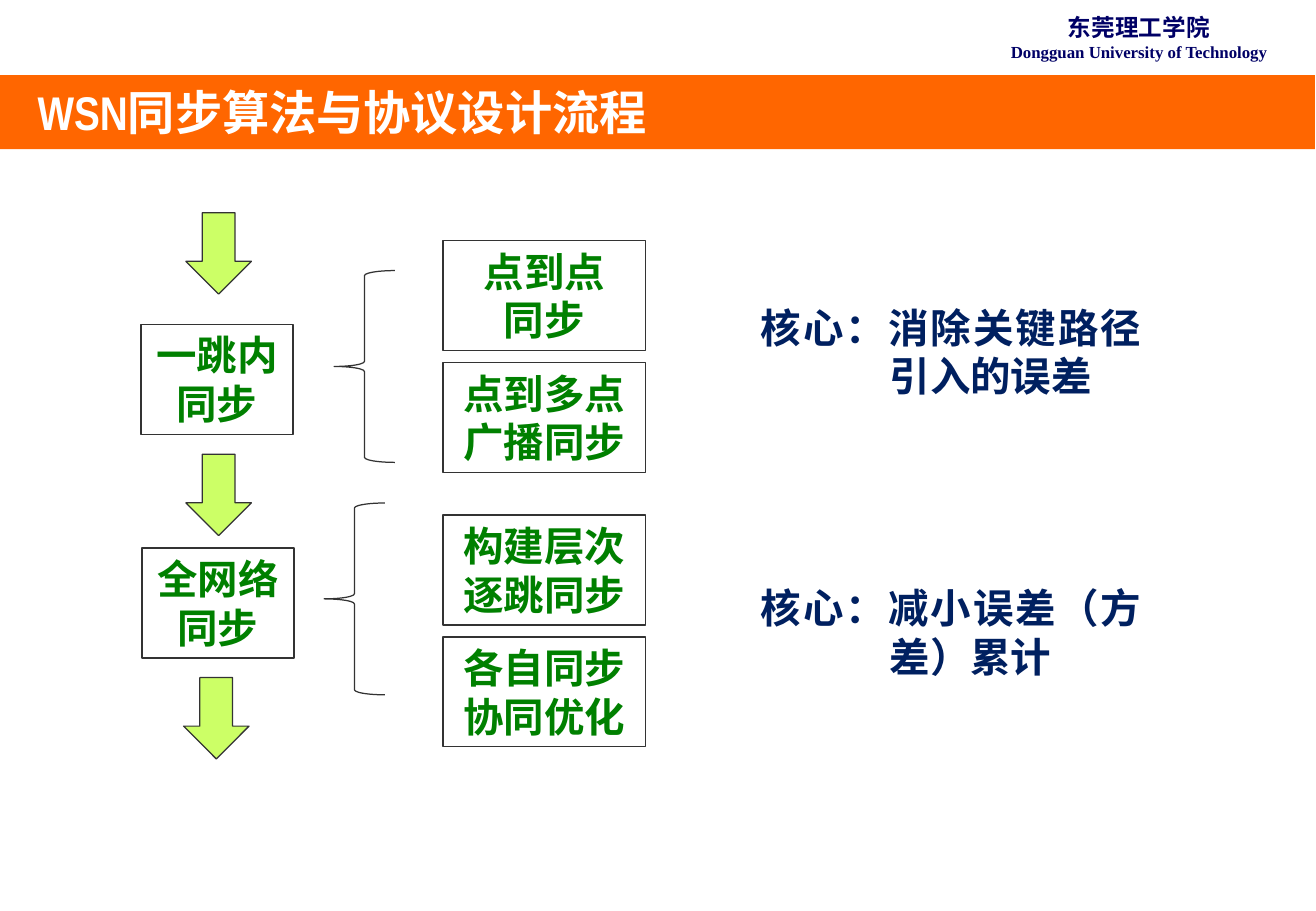
from pptx import Presentation
from pptx.dml.color import RGBColor
from pptx.enum.lang import MSO_LANGUAGE_ID
from pptx.enum.shapes import MSO_SHAPE
from pptx.enum.text import MSO_ANCHOR, PP_ALIGN
from pptx.util import Cm, Pt

RECTANGLE, ARROW, BRACE = MSO_SHAPE.RECTANGLE, MSO_SHAPE.DOWN_ARROW, MSO_SHAPE.LEFT_BRACE
LEFT, CENTER, JUSTIFY = PP_ALIGN.LEFT, PP_ALIGN.CENTER, PP_ALIGN.JUSTIFY
TOP, MIDDLE = MSO_ANCHOR.TOP, MSO_ANCHOR.MIDDLE
CHINESE = MSO_LANGUAGE_ID.SIMPLIFIED_CHINESE

COLORS = {"header": "000066", "banner": "FF6600", "title": "FFFFFF", "line": "333333",
          "arrow": "CCFF66", "step": "008000", "note": "002060"}
SERIF, NARROW = "Times New Roman", "Arial Narrow"

TITLE = "WSN同步算法与协议设计流程"
HEADER = [("东莞理工学院", 14), ("Dongguan University of Technology", 10)]
STAGES = [
    {"step": ["一跳内", "同步"], "step_at": (2.95, 6.78), "brace_at": (6.99, 5.66),
     "options": [["点到点", "同步"], ["点到多点", "广播同步"]], "options_top": 5.03,
     "note": "核心：消除关键路径引入的误差", "note_top": 6.2},
    {"step": ["全网络", "同步"], "step_at": (2.97, 11.46), "brace_at": (6.78, 10.52),
     "options": [["构建层次", "逐跳同步"], ["各自同步", "协同优化"]], "options_top": 10.77,
     "note": "核心：减小误差（方差）累计", "note_top": 12.07},
]
ARROWS = [(3.89, 4.45), (3.89, 9.5), (3.84, 14.17)]

BOX_HEIGHT = 2.3
STEP_WIDTH = 3.18
OPTION_LEFT, OPTION_WIDTH, OPTION_PITCH = 9.27, 4.24, 2.55
NOTE_LEFT, NOTE_WIDTH, NOTE_INDENT = 15.67, 8.46, 2.69
BRACE_SIZE = (1.27, 4.01)
ARROW_SIZE = (1.37, 1.7)


def color(name):
    return RGBColor.from_string(COLORS[name])


def add_shape(slide, kind, box, fill=None, line="line"):
    shape = slide.shapes.add_shape(kind, *map(Cm, box))
    shape.shadow.inherit = False
    if fill:
        shape.fill.solid()
        shape.fill.fore_color.rgb = color(fill)
    else:
        shape.fill.background()
    if line:
        shape.line.color.rgb = color(line)
        shape.line.width = Pt(0.75)
    else:
        shape.line.fill.background()
    return shape


def add_textbox(slide, box):
    return slide.shapes.add_textbox(*map(Cm, box))


def write(shape, lines, ink, font=SERIF, align=CENTER, anchor=TOP, margin=0.25,
          indent=0, wrap=True):
    frame = shape.text_frame
    frame.word_wrap = wrap
    frame.vertical_anchor = anchor
    frame.margin_left = frame.margin_right = Cm(margin)
    frame.margin_top = frame.margin_bottom = Cm(0.13)
    for number, (text, size) in enumerate(lines):
        paragraph = frame.add_paragraph() if number else frame.paragraphs[0]
        paragraph.alignment = align
        if indent:
            properties = paragraph._p.get_or_add_pPr()
            properties.set("marL", str(Cm(indent)))
            properties.set("indent", str(-Cm(indent)))
        run = paragraph.add_run()
        run.text = text
        run.font.name = font
        run.font.size = Pt(size)
        run.font.bold = True
        run.font.color.rgb = color(ink)
        run.font.language_id = CHINESE


def add_box(slide, left, top, width, words):
    shape = add_shape(slide, RECTANGLE, (left, top, width, BOX_HEIGHT))
    write(shape, [(word, 24) for word in words], "step")


def add_stage(slide, stage):
    add_box(slide, *stage["step_at"], STEP_WIDTH, stage["step"])
    add_shape(slide, BRACE, stage["brace_at"] + BRACE_SIZE)
    for row, words in enumerate(stage["options"]):
        top = stage["options_top"] + row * OPTION_PITCH
        add_box(slide, OPTION_LEFT, top, OPTION_WIDTH, words)
    note = add_textbox(slide, (NOTE_LEFT, stage["note_top"], NOTE_WIDTH, BOX_HEIGHT))
    write(note, [(stage["note"], 24)], "note", align=JUSTIFY, indent=NOTE_INDENT)


def main():
    """Build the slide on the WSN synchronisation design flow."""
    presentation = Presentation()
    presentation.slide_width, presentation.slide_height = Cm(27.53), Cm(19.05)
    slide = presentation.slides.add_slide(presentation.slide_layouts[6])

    header = add_textbox(slide, (20.88, 0.15, 5.89, 1.27))
    write(header, HEADER, "header", wrap=False)
    banner = add_shape(slide, RECTANGLE, (0, 1.57, 27.51, 1.55), "banner", None)
    write(banner, [(TITLE, 28)], "title", font=NARROW, align=LEFT, anchor=MIDDLE, margin=0.79)

    for stage in STAGES:
        add_stage(slide, stage)
    for position in ARROWS:
        add_shape(slide, ARROW, position + ARROW_SIZE, "arrow")

    presentation.save("out.pptx")


if __name__ == "__main__":
    main()
